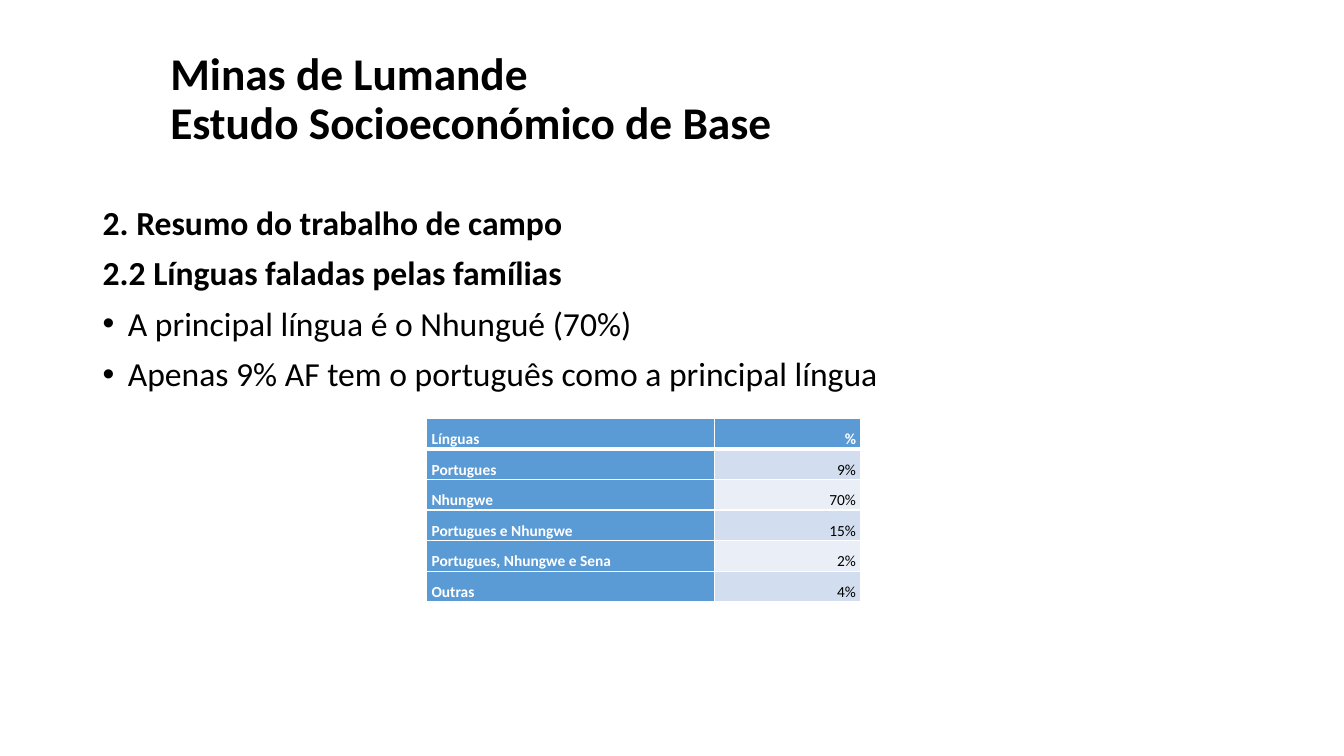
from pptx import Presentation
from pptx.dml.color import RGBColor
from pptx.enum.text import MSO_ANCHOR as Anchor, PP_ALIGN as Align
from pptx.oxml.ns import qn
from pptx.util import Inches, Pt
from lxml.etree import SubElement

BLACK = RGBColor(0x00, 0x00, 0x00)
WHITE = RGBColor(0xFF, 0xFF, 0xFF)
BLUE = RGBColor(0x5B, 0x9B, 0xD5)
PALE = RGBColor(0xD2, 0xDE, 0xEF)
LIGHT = RGBColor(0xEA, 0xEF, 0xF7)


class Page:
    def __init__(self, slide, font):
        self.slide = slide
        self.font = font

    def style(self, para, size, color, bold, align, line):
        para.alignment = align
        para.line_spacing = line
        for run in para.runs:
            font = run.font
            font.name, font.size, font.bold = self.font, Pt(size), bold
            font.color.rgb = color

    def box(self, left, top, width, height, anchor):
        shape = self.slide.shapes.add_textbox(
            Inches(left), Inches(top), Inches(width), Inches(height))
        frame = shape.text_frame
        frame.word_wrap = True
        frame.vertical_anchor = anchor
        return frame

    def title(self, text, *place):
        para = self.box(*place, Anchor.MIDDLE).paragraphs[0]
        para.text = text
        self.style(para, 32.4, BLACK, True, Align.LEFT, 0.9)

    def body(self, heads, points, *place):
        frame = self.box(*place, Anchor.TOP)
        frame.text = "\n".join(heads + points)
        for i, para in enumerate(frame.paragraphs):
            align = Align.JUSTIFY if i else Align.LEFT
            self.style(para, 24, BLACK, i < len(heads), align, 0.9)
            para.space_before = Pt(10)
            if i >= len(heads):
                self.bullet(para)

    def bullet(self, para):
        props = para._p.get_or_add_pPr()
        props.set("marL", str(Inches(0.25)))
        props.set("indent", str(-Inches(0.25)))
        SubElement(props, qn("a:buFont"), typeface="Arial")
        SubElement(props, qn("a:buChar"), char="•")

    def border(self, cell, side, width):
        line = SubElement(cell._tc.get_or_add_tcPr(), qn("a:ln" + side), w=str(Pt(width)))
        fill = SubElement(line, qn("a:solidFill"))
        SubElement(fill, qn("a:srgbClr"), val=str(WHITE))

    def table(self, rows, widths, left, top, height):
        grid = self.slide.shapes.add_table(
            len(rows), len(widths), Inches(left), Inches(top),
            Inches(sum(widths)), Inches(height)).table
        for col, width in zip(grid.columns, widths):
            col.width = Inches(width)
        for r, row in enumerate(rows):
            for c, text in enumerate(row):
                self.cell(grid.cell(r, c), text, r, c)

    def cell(self, cell, text, r, c):
        cell.text = text
        cell.vertical_anchor = Anchor.BOTTOM
        cell.margin_left = cell.margin_right = Inches(0.05)
        cell.margin_top = cell.margin_bottom = 0
        head = r == 0 or c == 0
        self.style(cell.text_frame.paragraphs[0], 11, WHITE if head else BLACK,
                   head, Align.RIGHT if c else Align.LEFT, Pt(16))
        for side in "LRTB":
            thick = (r, side) in ((0, "B"), (1, "T"))
            self.border(cell, side, 3 if thick else 1)
        cell.fill.solid()
        cell.fill.fore_color.rgb = BLUE if head else PALE if r % 2 else LIGHT


deck = Presentation()
deck.slide_width, deck.slide_height = Inches(13.33), Inches(7.5)
page = Page(deck.slides.add_slide(deck.slide_layouts[6]), "Calibri")

page.title("Minas de Lumande\vEstudo Socioeconómico de Base", 1.59, 0.55, 10.72, 0.9)
page.body(
    ["2. Resumo do trabalho de campo", "2.2 Línguas faladas pelas famílias"],
    ["A principal língua é o Nhungué (70%)",
     "Apenas 9% AF tem o português como a principal língua"],
    0.92, 2, 11.55, 5.17)
page.table(
    [("Línguas", "%"),
     ("Portugues", "9%"),
     ("Nhungwe", "70%"),
     ("Portugues e Nhungwe", "15%"),
     ("Portugues, Nhungwe e Sena", "2%"),
     ("Outras", "4%")],
    (2.86, 1.45), 4.23, 4.15, 1.82)

deck.save("out.pptx")
